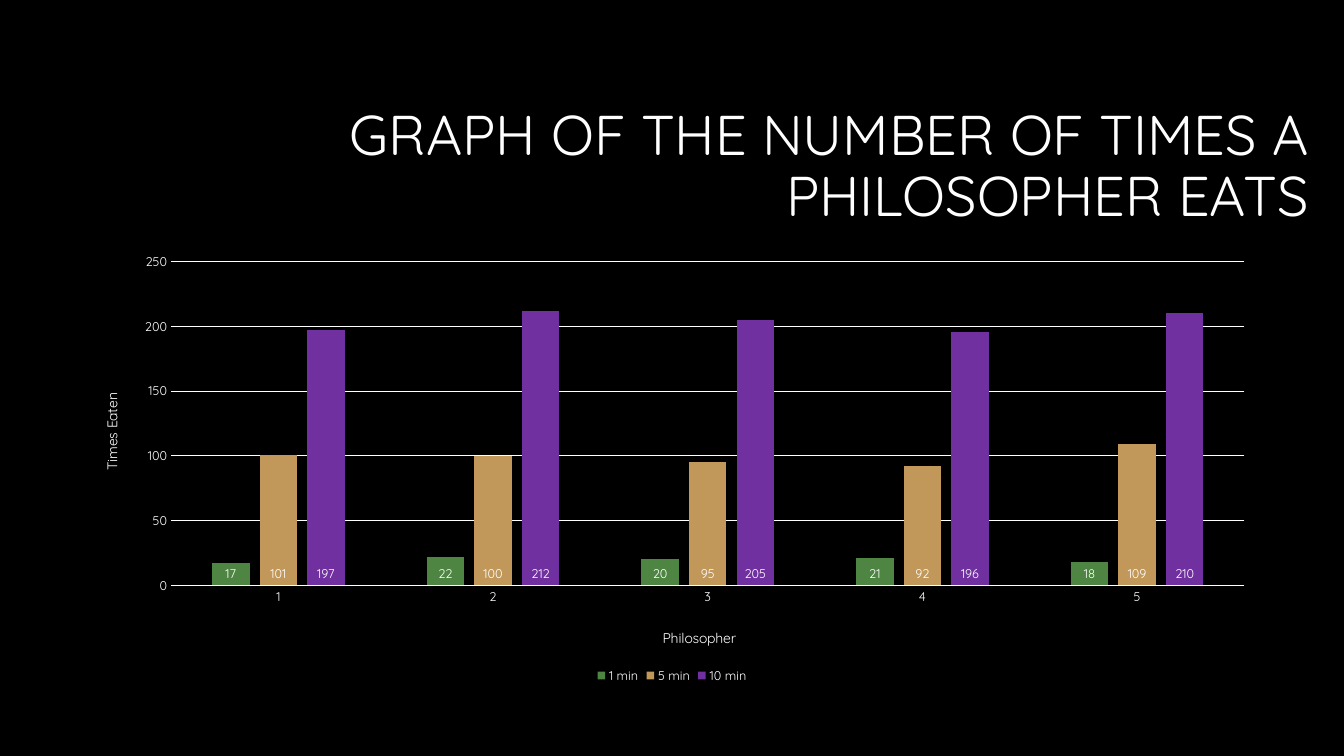
from dataclasses import dataclass

from lxml import etree
from pptx import Presentation
from pptx import util as u
from pptx.chart.data import CategoryChartData
from pptx.dml.color import RGBColor
from pptx.enum import chart as ch, text
from pptx.oxml.ns import qn


@dataclass(frozen=True)
class Theme:
    font: str = "Quicksand"
    background: RGBColor = RGBColor(0x00, 0x00, 0x00)
    ink: RGBColor = RGBColor(0xFF, 0xFF, 0xFF)
    title_size: int = 40
    axis_title_size: int = 10
    label_size: int = 9
    rule_width: float = 0.75


THEME = Theme()
SLIDE_SIZE = (13.33, 7.5)
TITLE_BOX = (1.16, 0.96, 11.92, 1.41)
CHART_BOX = (0.75, 2.42, 11.83, 4.4)

PHILOSOPHERS = ["1", "2", "3", "4", "5"]
MEALS = {
    "1 min": ([17, 22, 20, 21, 18], "4E8542"),
    "5 min": ([101, 100, 95, 92, 109], "C19859"),
    "10 min": ([197, 212, 205, 196, 210], "7030A0"),
}


def set_font(font, size):
    font.name = THEME.font
    font.size = u.Pt(size)
    font.bold = False
    font.color.rgb = THEME.ink


def set_line(line):
    line.color.rgb = THEME.ink
    line.width = u.Pt(THEME.rule_width)


def set_layout(element, after, inner=False, **shares):
    """Place a chart part by shares of the chart's size."""
    for old in element.findall(qn("c:layout")):
        element.remove(old)
    layout = etree.Element(qn("c:layout"))
    manual = etree.SubElement(layout, qn("c:manualLayout"))
    if inner:
        etree.SubElement(manual, qn("c:layoutTarget"), val="inner")
    for side in ("x", "y"):
        etree.SubElement(manual, qn(f"c:{side}Mode"), val="edge")
    for key, share in shares.items():
        etree.SubElement(manual, qn(f"c:{key}"), val=str(share))
    if after is None:
        element.insert(0, layout)
    else:
        after.addnext(layout)


def add_title(slide, box):
    title = slide.shapes.title
    title.left, title.top, title.width, title.height = map(u.Inches, box)
    frame = title.text_frame
    frame.word_wrap = True
    frame.auto_size = text.MSO_AUTO_SIZE.NONE
    frame.vertical_anchor = text.MSO_ANCHOR.MIDDLE
    frame.text = "GRAPH OF THE NUMBER OF TIMES A PHILOSOPHER EATS"
    paragraph = frame.paragraphs[0]
    paragraph.alignment = text.PP_ALIGN.RIGHT
    paragraph.line_spacing = 0.9
    set_font(paragraph.font, THEME.title_size)


def format_axis(axis, caption, x, y):
    axis.major_tick_mark = axis.minor_tick_mark = ch.XL_TICK_MARK.NONE
    set_font(axis.tick_labels.font, THEME.label_size)
    frame = axis.axis_title.text_frame
    frame.text = caption
    set_font(frame.paragraphs[0].font, THEME.axis_title_size)
    title = axis.axis_title._element
    set_layout(title, title.find(qn("c:tx")), x=x, y=y)


def add_meals_chart(slide, box):
    data = CategoryChartData()
    data.categories = PHILOSOPHERS
    for name, (values, _) in MEALS.items():
        data.add_series(name, values)
    chart = slide.shapes.add_chart(
        ch.XL_CHART_TYPE.COLUMN_CLUSTERED, *map(u.Inches, box), data
    ).chart
    set_font(chart.font, THEME.axis_title_size)
    chart.has_title = False

    # Columns and their value labels
    plot = chart.plots[0]
    plot.gap_width, plot.overlap = 219, -27
    plot.vary_by_categories = False
    for series in plot.series:
        series.format.fill.solid()
        series.format.fill.fore_color.rgb = RGBColor.from_string(MEALS[series.name][1])
        labels = series.data_labels
        labels.show_value = True
        labels.position = ch.XL_LABEL_POSITION.INSIDE_BASE
        set_font(labels.font, THEME.label_size)

    # Axes and gridlines
    format_axis(chart.category_axis, "Philosopher", x=0.49, y=0.86)
    set_line(chart.category_axis.format.line)
    value_axis = chart.value_axis
    format_axis(value_axis, "Times Eaten", x=0.02, y=0.33)
    value_axis.minimum_scale, value_axis.maximum_scale = 0, 250
    value_axis.major_unit = 50
    value_axis.format.line.fill.background()
    set_line(value_axis.major_gridlines.format.line)
    plot_area = chart.element.find(".//" + qn("c:plotArea"))
    set_layout(plot_area, None, inner=True, x=0.08, y=0.04, w=0.9, h=0.73)

    # Legend
    chart.has_legend = True
    chart.legend.position = ch.XL_LEGEND_POSITION.BOTTOM
    chart.legend.include_in_layout = False
    set_font(chart.legend.font, THEME.label_size)


def main():
    presentation = Presentation()
    presentation.slide_width, presentation.slide_height = map(u.Inches, SLIDE_SIZE)
    slide = presentation.slides.add_slide(presentation.slide_layouts[5])
    slide.background.fill.solid()
    slide.background.fill.fore_color.rgb = THEME.background
    add_title(slide, TITLE_BOX)
    add_meals_chart(slide, CHART_BOX)
    presentation.save("out.pptx")


if __name__ == "__main__":
    main()
